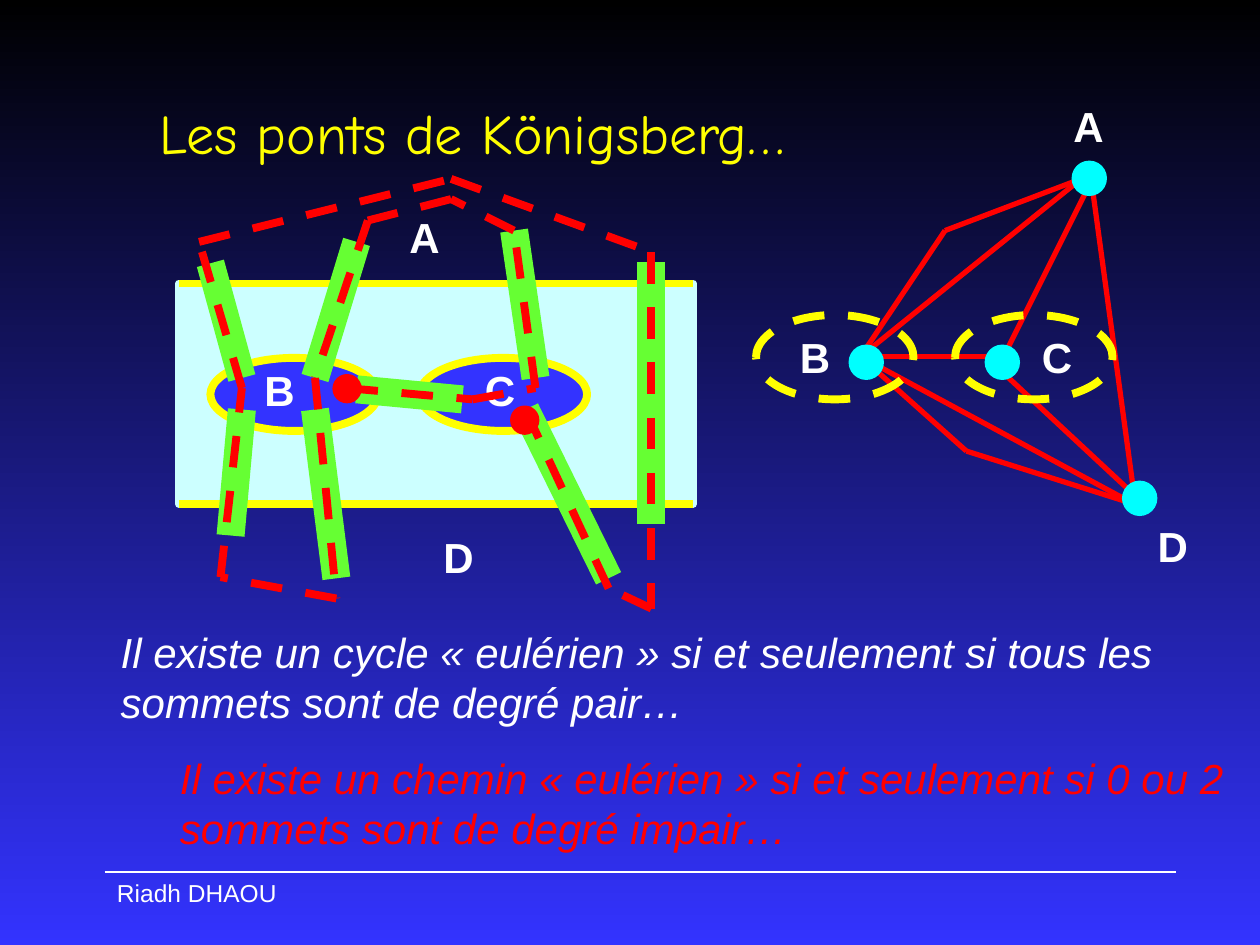
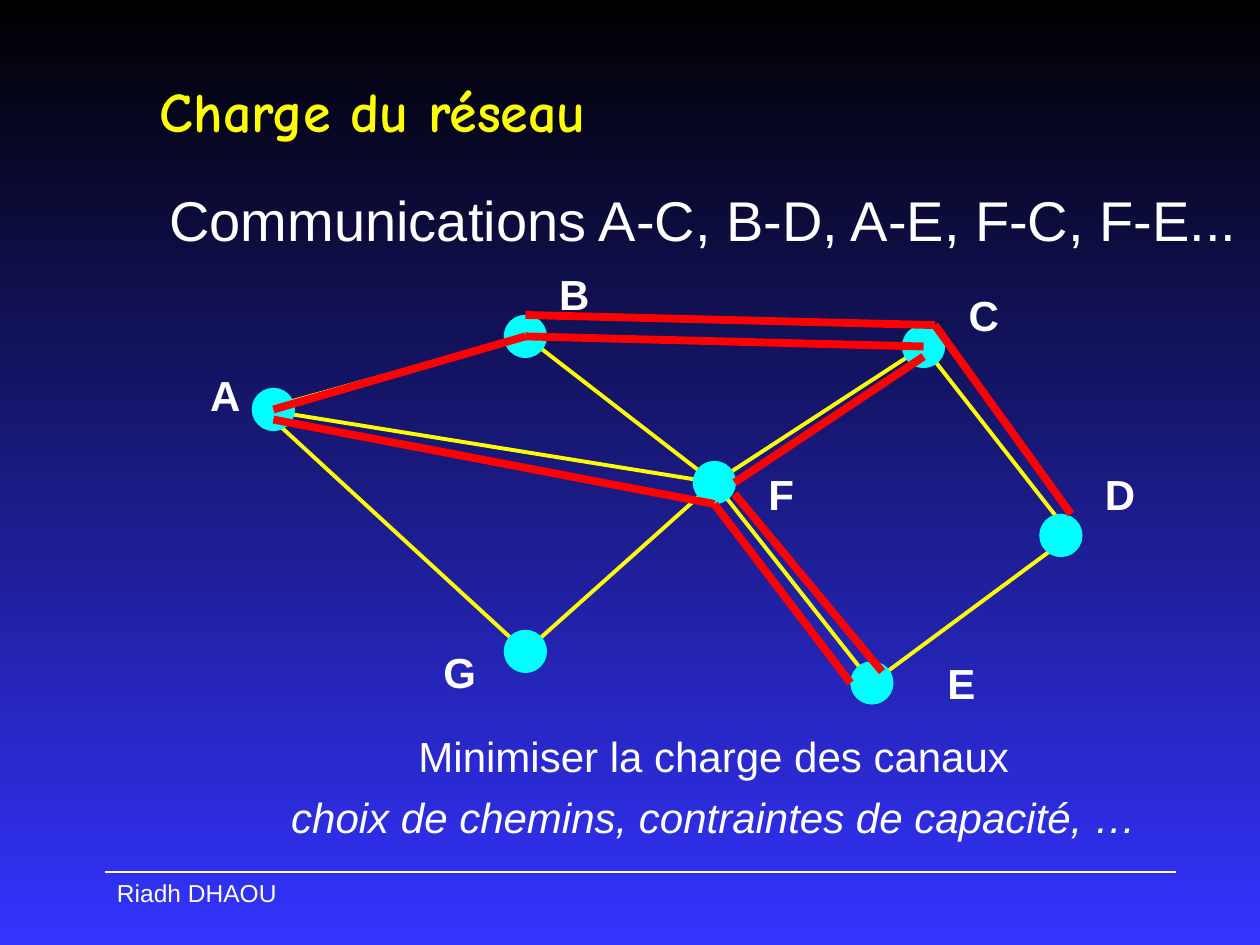
from itertools import pairwise

from lxml import etree
from pptx import Presentation
from pptx.dml.color import RGBColor
from pptx.enum import dml, shapes, text
from pptx.oxml.ns import qn
from pptx.util import Inches, Pt

COLOURS = {
    "black": "000000", "blue": "3333FF", "white": "FFFFFF", "yellow": "FFFF00",
    "water": "CCFFFF", "green": "66FF33", "red": "FF0000", "cyan": "00FFFF",
}
COLOURS = {name: RGBColor.from_string(value) for name, value in COLOURS.items()}
OVAL = shapes.MSO_SHAPE.OVAL


def add_figure(slide, preset, box, colour, width, fill=None, dashed=False):
    """Draw a preset in box (left, top, width, height), or a line (x1, y1, x2, y2) if preset is None."""
    lengths = [Inches(value) for value in box]
    if preset is None:
        shape = slide.shapes.add_connector(shapes.MSO_CONNECTOR.STRAIGHT, *lengths)
        etree.SubElement(shape._element.spPr, qn("a:effectLst"))
    else:
        shape = slide.shapes.add_shape(preset, *lengths)
        shape.shadow.inherit = False
        if fill:
            shape.fill.solid()
            shape.fill.fore_color.rgb = COLOURS[fill]
        else:
            shape.fill.background()
    shape.line.color.rgb = COLOURS[colour]
    shape.line.width = Pt(width)
    if dashed:
        shape.line.dash_style = dml.MSO_LINE.DASH


def add_text(slide, box, content, size=24, colour="white", font="Arial",
             bold=False, italic=False, wrap=True):
    shape = slide.shapes.add_textbox(*[Inches(value) for value in box])
    text_frame = shape.text_frame
    text_frame.word_wrap = wrap
    text_frame.text = content
    for paragraph in text_frame.paragraphs:
        for run in paragraph.runs:
            run.font.name = font
            run.font.size = Pt(size)
            run.font.bold = bold
            run.font.italic = italic
            run.font.color.rgb = COLOURS[colour]
    return text_frame


presentation = Presentation()
presentation.slide_width = Inches(10)
presentation.slide_height = Inches(7.5)

# Shared background, footer and title
background = presentation.slide_master.background.fill
background.gradient()
background.gradient_angle = 270
for stop, name in zip(background.gradient_stops, ("black", "blue")):
    stop.color.rgb = COLOURS[name]

slides = []
for title, top, bold in (("Les ponts de Königsberg…", 0.42, False),
                         ("Charge du réseau", 0.25, True)):
    slide = presentation.slides.add_slide(presentation.slide_layouts[6])
    add_figure(slide, None, (0.83, 6.92, 9.33, 6.92), "white", 1)
    add_text(slide, (0.83, 6.92, 1.92, 0.34), "Riadh DHAOU", size=14)
    title_frame = add_text(slide, (1.17, top, 8.5, 1.25), title, size=32,
                           colour="yellow", font="Comic Neue", bold=bold)
    title_frame.vertical_anchor = text.MSO_ANCHOR.MIDDLE
    slides.append(slide)
bridges_slide, network_slide = slides

# Slide 1: river, islands and bridges
slide = bridges_slide
add_figure(slide, shapes.MSO_SHAPE.RECTANGLE, (1.42, 2.25, 4.08, 1.75), "water", 4.5, "water")
add_text(slide, (0.86, 4.92, 8.5, 0.92),
         "Il existe un cycle « eulérien » si et seulement si tous les sommets sont de degré pair…",
         italic=True)
for bank_y in (2.25, 4):
    add_figure(slide, None, (1.42, bank_y, 5.5, bank_y), "yellow", 4.5)
for island_x in (1.67, 3.33):
    add_figure(slide, OVAL, (island_x, 2.84, 1.33, 0.58), "yellow", 4.5, "blue")
bridges = [
    (5.17, 2.08, 5.17, 4.16), (2.5, 3, 2.83, 1.92), (1.92, 3, 1.67, 2.09),
    (1.92, 3.25, 1.83, 4.25), (2.5, 3.25, 2.67, 4.59), (2.83, 3.09, 3.67, 3.17),
    (4.25, 3, 4.08, 1.83), (4.17, 3.25, 4.83, 4.59),
]
for bridge in bridges:
    add_figure(slide, None, bridge, "green", 16)
map_labels = [("A", 3.15, 1.63), ("B", 2, 2.84), ("C", 3.75, 2.84), ("D", 3.42, 4.17)]
graph_labels = [("A", 8.42, 0.75), ("B", 6.25, 2.58), ("C", 8.17, 2.58), ("D", 9.09, 4.08)]
for letter, left, top in map_labels + graph_labels:
    add_text(slide, (left, top, 0.44, 0.5), letter, bold=True, wrap=False)

# Slide 1: graph of the bridges
graph_paths = [
    [(8.66, 1.42), (9, 3.92)],
    [(6.83, 2.83), (8, 2.83)],
    [(9.08, 4), (7.92, 2.92), (8.67, 1.42)],
    [(8.58, 1.42), (6.83, 2.83), (9, 4)],
    [(6.83, 2.83), (7.67, 3.58), (9, 4)],
    [(6.83, 2.83), (7.5, 1.83), (8.58, 1.42)],
]
for path_points in graph_paths:
    for start, end in pairwise(path_points):
        add_figure(slide, None, start + end, "red", 3)
for left, top in ((6.75, 2.75), (8.92, 3.83), (7.83, 2.75), (8.52, 1.29)):
    add_figure(slide, OVAL, (left, top, 0.25, 0.25), "cyan", 2.25, "cyan")

# Slide 1: walk over every bridge, from one red dot to the other
walk = [
    (2.75, 3.08), (3.75, 3.17), (4.25, 3.08), (4.08, 1.83), (3.58, 1.58), (2.92, 1.75),
    (2.5, 3), (2.67, 4.75), (1.75, 4.58), (1.92, 3.08), (1.58, 1.92), (3.58, 1.42),
    (5.17, 2), (5.17, 4.83), (4.83, 4.67), (4.17, 3.25),
]
for start, end in pairwise(walk):
    add_figure(slide, None, start + end, "red", 4.5, dashed=True)
for left, top in ((2.67, 3), (4.08, 3.25)):
    add_figure(slide, OVAL, (left, top, 0.17, 0.17), "red", 4.5, "red")
add_text(slide, (1.33, 5.92, 8.5, 0.92),
         "Il existe un chemin « eulérien » si et seulement si 0 ou 2 sommets sont de degré impair…",
         colour="red", italic=True)
for left in (6, 7.58):
    add_figure(slide, OVAL, (left, 2.5, 1.25, 0.67), "yellow", 4.5, dashed=True)

# Slide 2: network
slide = network_slide
heading = add_text(slide, (1.17, 1.42, 8.83, 0.71),
                   "Communications A-C, B-D, A-E, F-C, F-E...", size=32)
heading.paragraphs[0].alignment = text.PP_ALIGN.CENTER
nodes = {
    "A": (2.17, 3.25), "B": (4.17, 2.67), "G": (4.17, 5.17), "F": (5.67, 3.83),
    "E": (6.92, 5.42), "D": (8.42, 4.25), "C": (7.33, 2.75),
}
channel_ends = {**nodes, "A": (2.08, 3.25), "D": (8.5, 4.25)}
for start, end in ("AB", "BF", "FG", "GA", "AF", "FC", "CD", "DE", "EF", "BC"):
    add_figure(slide, None, channel_ends[start] + channel_ends[end], "yellow", 2.25)
node_size = 0.33
for x, y in nodes.values():
    add_figure(slide, OVAL, (x - node_size / 2, y - node_size / 2, node_size, node_size),
               "cyan", 1, "cyan")
node_labels = [
    ("A", 1.57, 2.88), ("F", 6, 3.67), ("E", 7.42, 5.17), ("D", 8.67, 3.67),
    ("C", 7.59, 2.25), ("B", 4.34, 2.08), ("G", 3.42, 5.08),
]
for letter, left, top in node_labels:
    add_text(slide, (left, top, 0.44, 0.5), letter, bold=True, wrap=False)
conclusion = add_text(slide, (1.33, 5.75, 8.67, 1.08),
                      "Minimiser la charge des canaux\nchoix de chemins, contraintes de capacité, …")
for paragraph in conclusion.paragraphs:
    paragraph.alignment = text.PP_ALIGN.CENTER
paragraph.space_before = Pt(6)
paragraph.runs[0].font.italic = True

# Slide 2: routes of the communications
routes = [
    [nodes["A"], nodes["B"], nodes["C"]],
    [(4.17, 2.5), (7.42, 2.58), (8.5, 4.08)],
    [(2.17, 3.33), (5.67, 4), (6.75, 5.42)],
    [(5.83, 3.83), (7.33, 2.83)],
    [(5.83, 3.92), (7, 5.33)],
]
for route in routes:
    for start, end in pairwise(route):
        add_figure(slide, None, start + end, "red", 4.5)

presentation.save("out.pptx")
